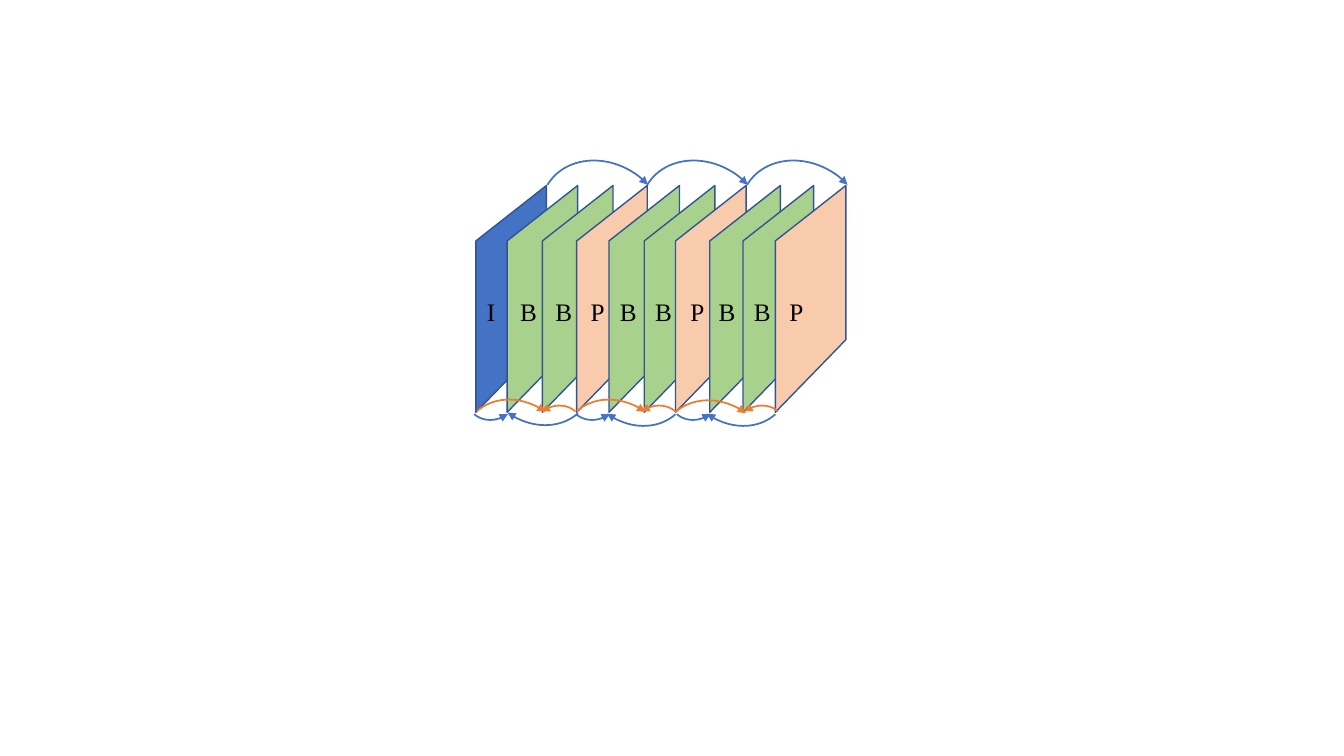
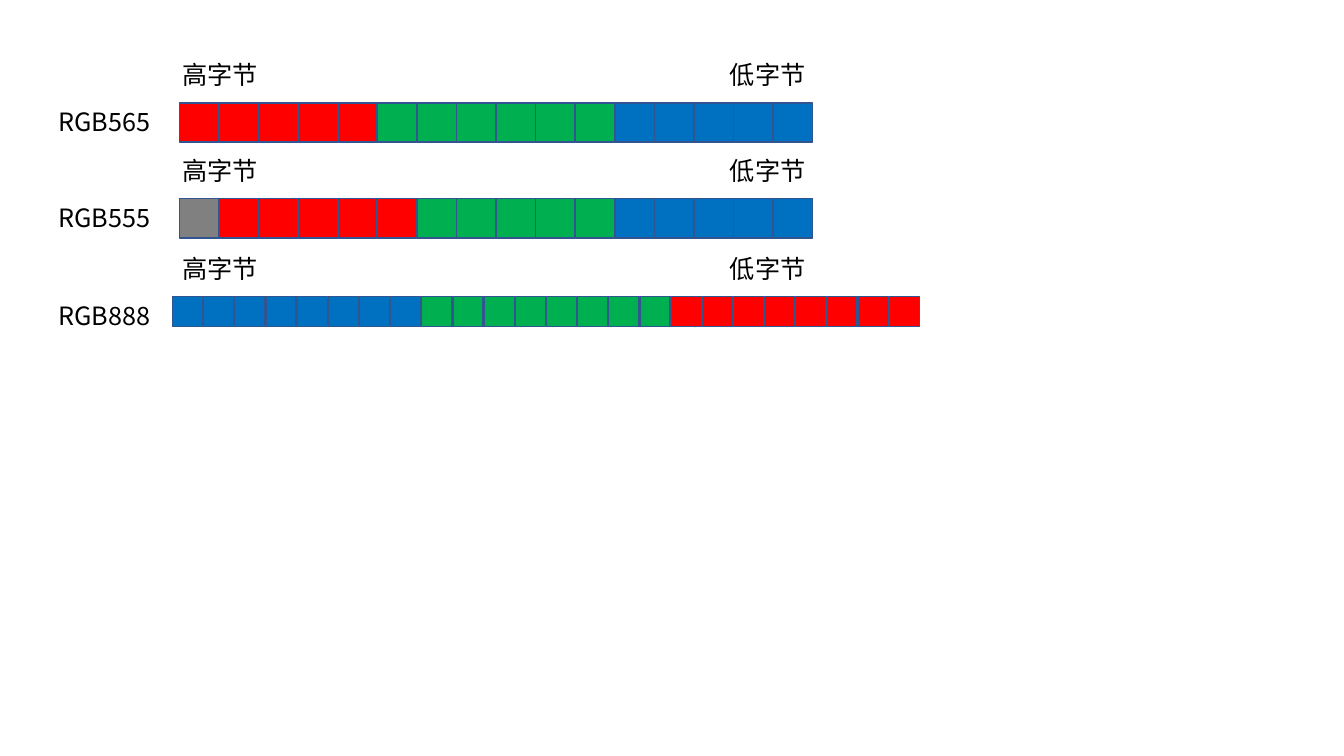
"""Draw a video frame reference diagram and the bit layouts of RGB pixel formats."""
from dataclasses import dataclass

from pptx import Presentation
from pptx.dml.color import RGBColor
from pptx.enum.shapes import MSO_SHAPE as Preset
from pptx.enum.text import MSO_AUTO_SIZE as AutoSize
from pptx.oxml.ns import qn
from pptx.oxml.xmlchemy import OxmlElement
from pptx.shapes.autoshape import Shape
from pptx.shapes.shapetree import SlideShapes
from pptx.util import Inches, Pt

COLOURS = {
    "outline": "325491",
    "text": "000000",
    "I": "4472C4",
    "B": "A9D18E",
    "P": "F8CBAD",
    "forward": "4472C4",
    "second": "ED7D31",
    "red": "FF0000",
    "green": "00B050",
    "blue": "0070C0",
    "unused": "808080",
}
SERIF = "Times New Roman"
SANS = "Noto Sans CJK SC"


@dataclass(frozen=True)
class Frame:
    kind: str
    left: float
    label_left: float


@dataclass(frozen=True)
class Reference:
    colour: str
    rotation: float
    start: float
    flips: str
    width: float
    height: float
    corners: tuple[tuple[float, float], ...]


@dataclass(frozen=True)
class PixelFormat:
    name: str
    left: float
    top: float
    pitch: float
    bit_size: float
    channels: tuple[tuple[str, int], ...]


FRAMES = (
    Frame("I", 4.72, 4.73),
    Frame("B", 5.03, 5.06),
    Frame("B", 5.38, 5.41),
    Frame("P", 5.72, 5.76),
    Frame("B", 6.04, 6.05),
    Frame("B", 6.39, 6.4),
    Frame("P", 6.7, 6.75),
    Frame("B", 7.04, 7.03),
    Frame("B", 7.37, 7.38),
    Frame("P", 7.69, 7.73),
)
LABEL_WIDTHS = {"I": 0.29, "B": 0.37, "P": 0.29}

FIRST_B_REFERENCES = (
    Reference("forward", 131.4, 172.89, "", 0.61, 0.52,
              ((4.6, 3.62), (5.61, 3.62), (6.61, 3.62))),
    Reference("forward", 228.6, 172.89, "H", 1.28, 1.08, ((4.67, 3.08),)),
    Reference("forward", 228.6, 172.89, "H", 1.24, 1.05,
              ((5.67, 3.12), (6.66, 3.12))),
)
SECOND_B_REFERENCES = (
    Reference("second", 131.4, 172.89, "HV", 0.61, 0.52,
              ((7.21, 4.05), (6.19, 4.05), (5.2, 4.05))),
    Reference("second", 228.6, 172.89, "V", 1.28, 1.08, ((6.48, 4.03),)),
    Reference("second", 228.6, 172.89, "V", 1.24, 1.05,
              ((5.51, 4.02), (4.52, 4.02))),
)
P_REFERENCES = (
    Reference("forward", 210.6, 148.1, "V", 1.28, 1.08,
              ((5.34, 1.62), (6.33, 1.62), (7.32, 1.62))),
)

PIXEL_FORMATS = (
    PixelFormat("RGB565", 1.78, 1.02, 5.89 / 15, 0.39,
                (("red", 5), ("green", 6), ("blue", 5))),
    PixelFormat("RGB555", 1.78, 1.97, 5.89 / 15, 0.39,
                (("unused", 1), ("red", 5), ("green", 5), ("blue", 5))),
    PixelFormat("RGB888", 1.71, 2.94, 7.11 / 23, 0.3,
                (("blue", 8), ("green", 8), ("red", 8))),
)


def rgb(name: str) -> RGBColor:
    return RGBColor.from_string(COLOURS[name])


def paint(shape: Shape, fill: str) -> None:
    shape.shadow.inherit = False
    shape.fill.solid()
    shape.fill.fore_color.rgb = rgb(fill)
    shape.line.color.rgb = rgb("outline")
    shape.line.width = Pt(1)


def add_text(shapes: SlideShapes, text: str, *, left: float, top: float,
             width: float, font: str, height: float = 0.4, size: float = 18,
             wrap: bool = True) -> None:
    frame = shapes.add_textbox(
        Inches(left), Inches(top), Inches(width), Inches(height)).text_frame
    frame.word_wrap = wrap
    frame.auto_size = AutoSize.SHAPE_TO_FIT_TEXT
    run = frame.paragraphs[0].add_run()
    run.text = text
    run.font.size = Pt(size)
    run.font.name = font
    run.font.color.rgb = rgb("text")
    east_asian = OxmlElement("a:ea")
    east_asian.set("typeface", font)
    run.font._element.find(qn("a:latin")).addnext(east_asian)


def add_frame(shapes: SlideShapes, frame: Frame) -> None:
    near, far = Inches(frame.left), Inches(frame.left + 0.7)
    outline = shapes.build_freeform(far, Inches(1.84))
    outline.add_line_segments(
        [(near, Inches(2.39)), (near, Inches(4.09)), (far, Inches(3.37))])
    paint(outline.convert_to_shape(), frame.kind)


def add_references(shapes: SlideShapes, reference: Reference) -> None:
    for left, top in reference.corners:
        arc = shapes.add_shape(
            Preset.ARC, Inches(left), Inches(top),
            Inches(reference.width), Inches(reference.height))
        arc.adjustments[0] = reference.start
        arc.adjustments[1] = 0
        arc.rotation = reference.rotation
        for axis in reference.flips:
            arc.element.spPr.find(qn("a:xfrm")).set(f"flip{axis}", "1")
        arc.shadow.inherit = False
        arc.fill.background()
        arc.line.color.rgb = rgb(reference.colour)
        arc.line.width = Pt(1.25)
        arrowhead = OxmlElement("a:headEnd")
        arrowhead.set("type", "triangle")
        arc.line._get_or_add_ln().append(arrowhead)


def add_pixel_format(shapes: SlideShapes, layout: PixelFormat) -> None:
    bits = [channel for channel, count in layout.channels for _ in range(count)]
    for index, channel in enumerate(bits):
        bit = shapes.add_shape(
            Preset.RECTANGLE, Inches(layout.left + index * layout.pitch),
            Inches(layout.top), Inches(layout.bit_size), Inches(layout.bit_size))
        paint(bit, channel)
    for caption, left in (("高字节", 1.71), ("低字节", 7.14)):
        add_text(shapes, caption, left=left, top=layout.top - 0.48,
                 width=0.96, font=SANS)
    add_text(shapes, layout.name, left=0.48, top=layout.top - 0.01,
             width=1.18, font=SANS)


def draw_frame_references(shapes: SlideShapes) -> None:
    for frame in FRAMES:
        add_frame(shapes, frame)
    for frame in FRAMES:
        add_text(shapes, frame.kind, left=frame.label_left, top=2.89,
                 width=LABEL_WIDTHS[frame.kind], font=SERIF,
                 wrap=frame.kind == "P")
    for reference in FIRST_B_REFERENCES:
        add_references(shapes, reference)
    second_b_group = shapes.add_group_shape()
    for reference in SECOND_B_REFERENCES:
        add_references(second_b_group.shapes, reference)
    for reference in P_REFERENCES:
        add_references(shapes, reference)


def draw_pixel_formats(shapes: SlideShapes) -> None:
    for layout in PIXEL_FORMATS:
        add_pixel_format(shapes, layout)


def main() -> None:
    deck = Presentation()
    deck.slide_width, deck.slide_height = Inches(13.33), Inches(7.5)
    blank = deck.slide_layouts[6]
    for draw in (draw_frame_references, draw_pixel_formats):
        draw(deck.slides.add_slide(blank).shapes)
    deck.save("out.pptx")


if __name__ == "__main__":
    main()
